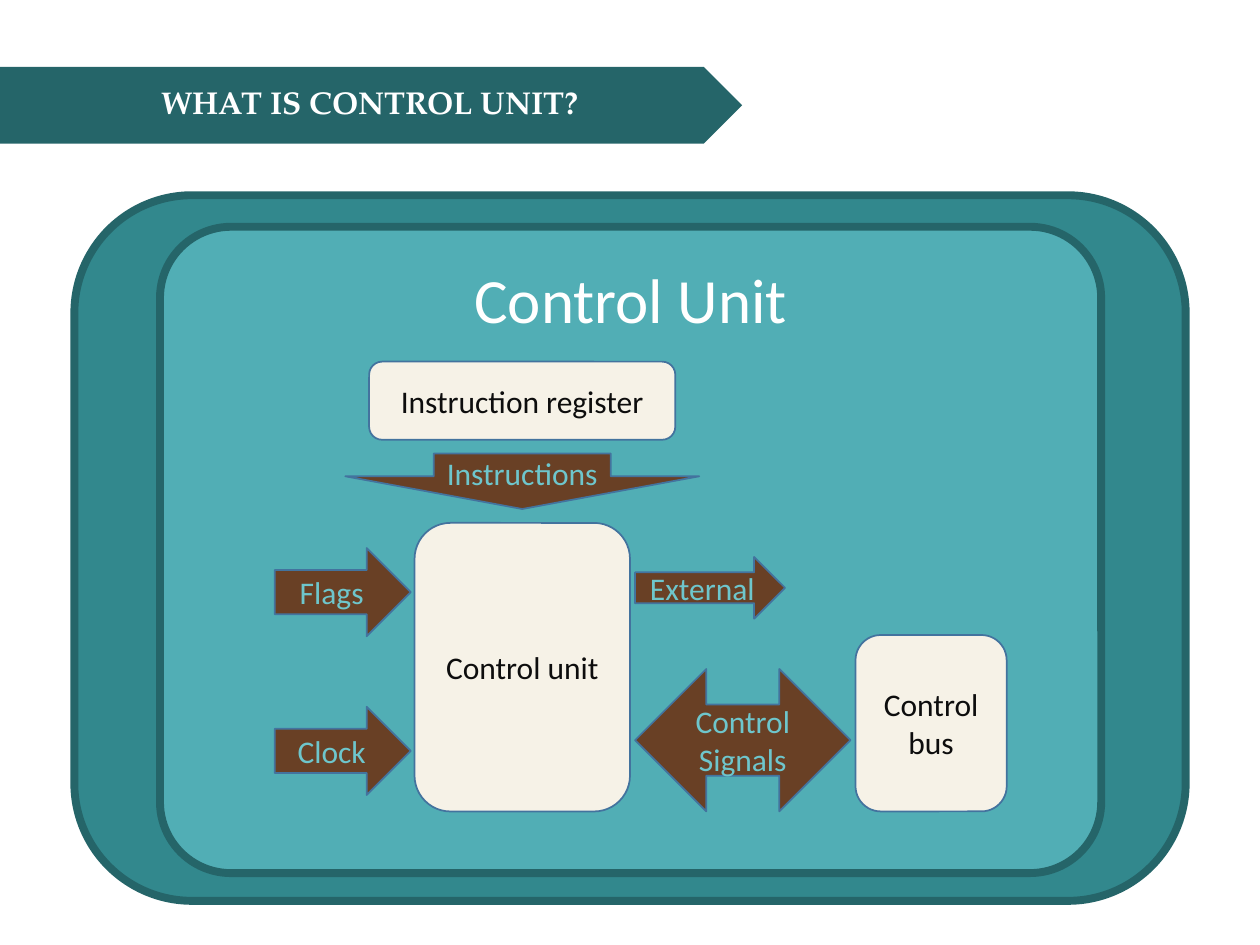
from dataclasses import dataclass

from pptx import Presentation
from pptx.dml.color import RGBColor
from pptx.enum.shapes import MSO_SHAPE
from pptx.enum.text import MSO_ANCHOR, MSO_AUTO_SIZE, PP_ALIGN
from pptx.util import Inches, Pt

COLUMNS, ROWS = 100, 75
WIDTH, HEIGHT = Inches(10), Inches(7.5)


@dataclass(frozen=True)
class Theme:
    dark: str = "256569"
    frame: str = "32888D"
    panel: str = "51AEB5"
    block: str = "F6F2E7"
    arrow: str = "694025"
    outline: str = "43739E"
    ink: str = "0D0D0D"
    signal: str = "6EC6CC"
    white: str = "FFFFFF"
    title_font: str = "TeX Gyre Pagella"
    body_font: str = "Calibri"
    body_size: float = 18
    heading_size: float = 36
    frame_line: float = 4.5
    block_line: float = 1


THEME = Theme()


def set_all(target, values):
    for name, value in values.items():
        setattr(target, name, value)


def cells(column, row, columns, rows):
    return (
        round(WIDTH * column / COLUMNS),
        round(HEIGHT * row / ROWS),
        round(WIDTH * columns / COLUMNS),
        round(HEIGHT * rows / ROWS),
    )


def write(frame, wording, color, size=THEME.body_size, font=THEME.body_font,
          bold=False, align=PP_ALIGN.CENTER, **layout):
    set_all(frame, {"word_wrap": True, "vertical_anchor": MSO_ANCHOR.MIDDLE, **layout})
    frame.text = wording
    for paragraph in frame.paragraphs:
        paragraph.alignment = align
        for run in paragraph.runs:
            set_all(run.font, {"name": font, "size": Pt(size), "bold": bold})
            run.font.color.rgb = RGBColor.from_string(color)


def add_figure(slide, preset, place, fill, line=None, weight=0, adjustments=()):
    figure = slide.shapes.add_shape(preset, *cells(*place))
    figure.shadow.inherit = False
    figure.fill.solid()
    figure.fill.fore_color.rgb = RGBColor.from_string(fill)
    if line:
        figure.line.color.rgb = RGBColor.from_string(line)
        figure.line.width = Pt(weight)
    else:
        figure.line.fill.background()
    for index, value in enumerate(adjustments):
        figure.adjustments[index] = value
    return figure


def add_block(slide, wording, place):
    block = add_figure(slide, MSO_SHAPE.ROUNDED_RECTANGLE, place,
                       THEME.block, THEME.outline, THEME.block_line)
    write(block.text_frame, wording, THEME.ink)


def add_arrow(slide, preset, wording, place, adjustments=()):
    arrow = add_figure(slide, preset, place, THEME.arrow,
                       THEME.outline, THEME.block_line, adjustments)
    write(arrow.text_frame, wording, THEME.signal)


def add_banner_title(slide, wording):
    add_figure(slide, MSO_SHAPE.PENTAGON, (0, 5.3, 58.9, 6.1), THEME.dark)
    title = slide.shapes.title
    slide.shapes.element.append(title.element)
    set_all(title, dict(zip(("left", "top", "width", "height"),
                            cells(11.8, 6.1, 35.7, 4))))
    write(title.text_frame, wording, THEME.white, font=THEME.title_font,
          bold=True, align=PP_ALIGN.LEFT, word_wrap=False,
          vertical_anchor=MSO_ANCHOR.TOP, auto_size=MSO_AUTO_SIZE.SHAPE_TO_FIT_TEXT)


def add_panel(slide, heading):
    panel = add_figure(slide, MSO_SHAPE.ROUNDED_RECTANGLE, (12.7, 18, 74.7, 51.3),
                       THEME.panel, THEME.dark, THEME.frame_line, [0.11])
    write(panel.text_frame, heading, THEME.white, size=THEME.heading_size,
          vertical_anchor=MSO_ANCHOR.TOP, margin_top=Inches(0.1))


def main():
    presentation = Presentation()
    set_all(presentation, {"slide_width": WIDTH, "slide_height": HEIGHT})
    slide = presentation.slides.add_slide(presentation.slide_layouts[5])

    add_figure(slide, MSO_SHAPE.ROUNDED_RECTANGLE, (5.9, 15.5, 88.2, 56),
               THEME.frame, THEME.dark, THEME.frame_line)
    add_banner_title(slide, "WHAT IS CONTROL UNIT?")
    add_panel(slide, "Control Unit")

    for wording, place in (
        ("Control unit", (32.9, 41.5, 17.1, 22.9)),
        ("Instruction register", (29.3, 28.7, 24.3, 6.2)),
        ("Control\nbus", (67.9, 50.4, 12, 14)),
    ):
        add_block(slide, wording, place)

    for step, wording in enumerate(("Flags", "Clock")):
        add_arrow(slide, MSO_SHAPE.RIGHT_ARROW, wording,
                  (21.8, 43.5 + 12.6 * step, 10.8, 7))
    add_arrow(slide, MSO_SHAPE.RIGHT_ARROW, "External", (50.4, 44.2, 11.9, 4.9))
    add_arrow(slide, MSO_SHAPE.LEFT_RIGHT_ARROW, "Control Signals",
              (50.4, 53.1, 17.1, 11.3))
    add_arrow(slide, MSO_SHAPE.DOWN_ARROW, "Instructions",
              (27.4, 36, 28.1, 4.4), [0.5, 0.59])

    presentation.save("out.pptx")


if __name__ == "__main__":
    main()
